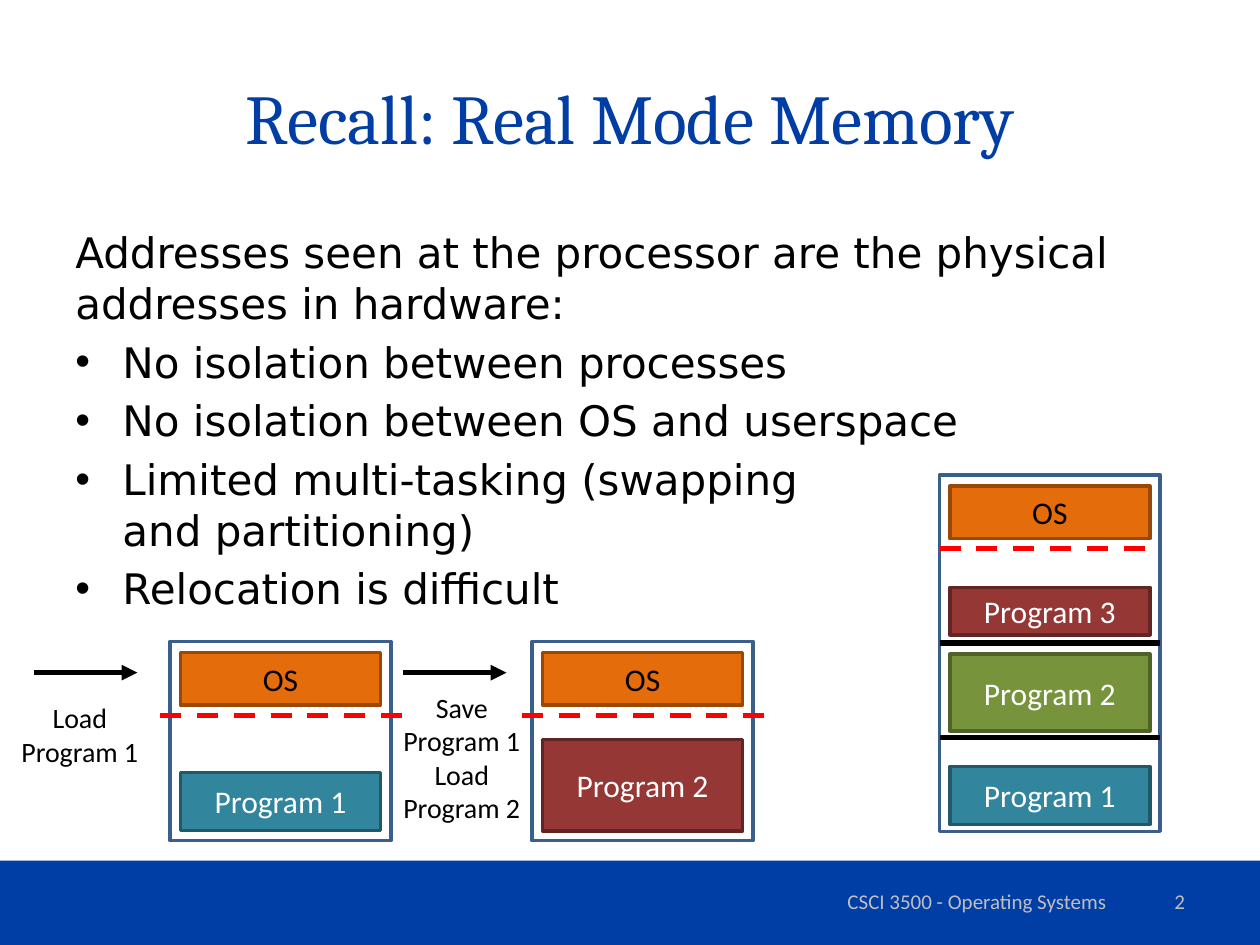
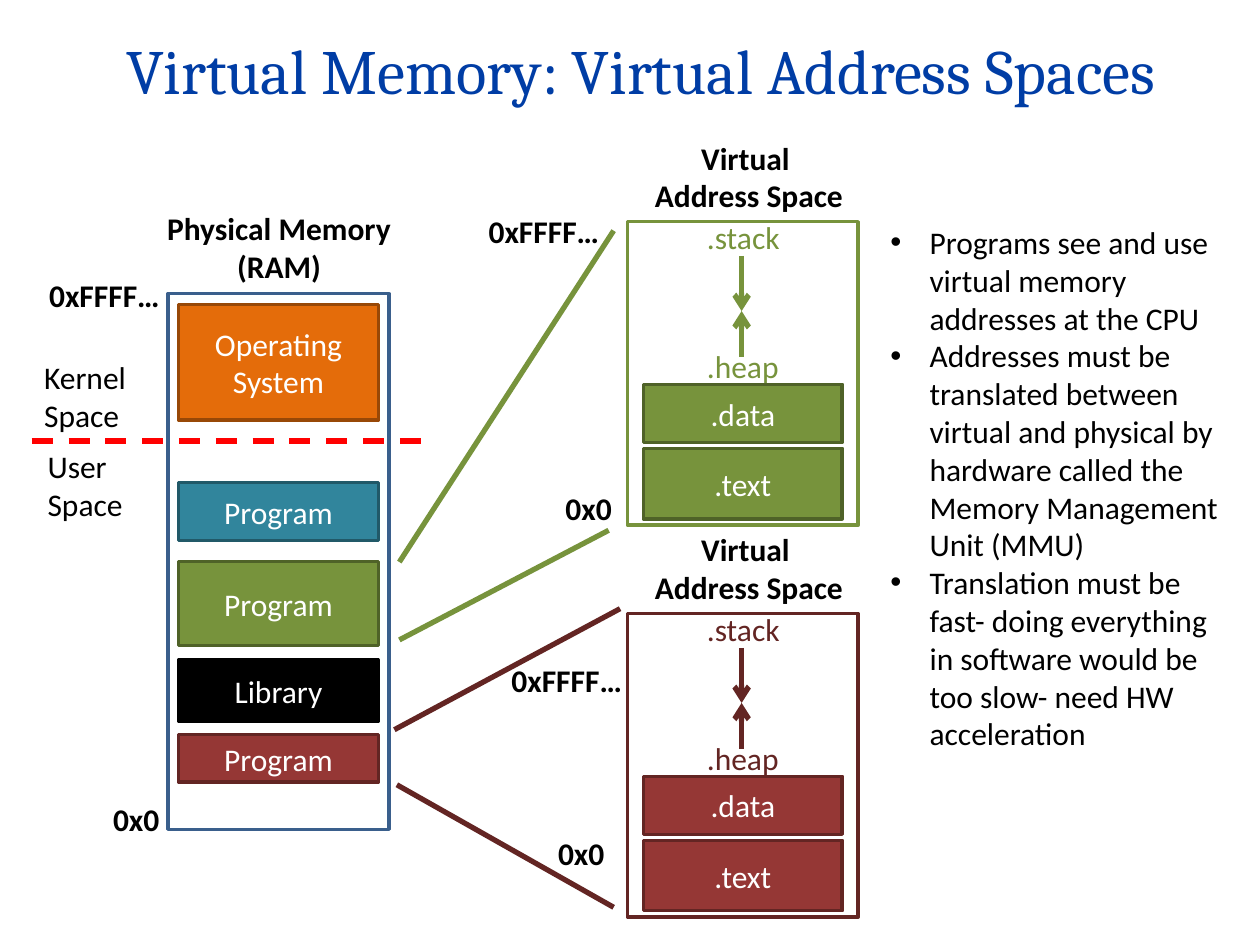
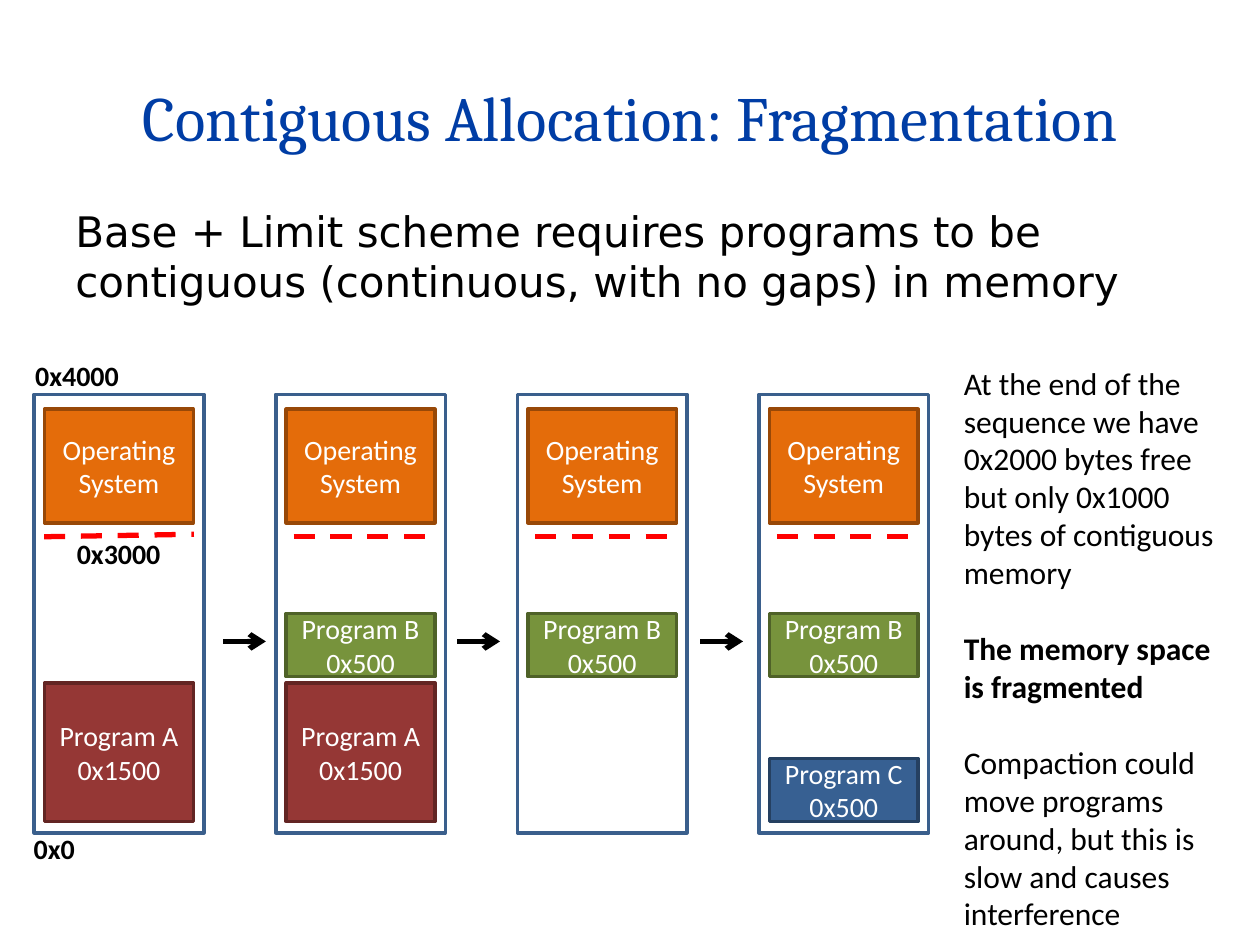
"""Build three slides on real mode memory, virtual memory and fragmentation."""
from dataclasses import dataclass

from lxml.etree import SubElement as Sub
from pptx import Presentation
from pptx.dml.color import RGBColor as Rgb
from pptx.enum.dml import MSO_LINE as Dash
from pptx.enum.shapes import MSO_CONNECTOR as Conn, MSO_SHAPE as Form
from pptx.enum.text import MSO_ANCHOR as Anchor, MSO_AUTO_SIZE as Auto, PP_ALIGN as Align
from pptx.oxml.ns import qn
from pptx.util import Cm, Pt


@dataclass(frozen=True)
class Theme:
    blue: str = "003DA5"
    black: str = "000000"
    white: str = "FFFFFF"
    grey: str = "BFBFBF"
    red: str = "FF0000"
    frame: str = "3A5F8C"
    head: str = "Cambria"
    body: str = "DejaVu Sans"
    label: str = "Calibri"
    big: int = 40
    mid: int = 36
    lead: int = 24
    text: int = 18
    small: int = 16
    foot: int = 12
    thin: int = 2
    thick: int = 3


T = Theme()
FILLS = {
    "orange": ("E46C0A", "984807"),
    "teal": ("31859C", "215968"),
    "green": ("77933C", "4F6228"),
    "wine": ("953735", "632523"),
    "navy": ("376092", "254061"),
    "black": ("000000", "000000"),
}
L, C, R = Align.LEFT, Align.CENTER, Align.RIGHT

REAL = {
    "title": "Recall: Real Mode Memory",
    "body": [
        ("Addresses seen at the processor are the physical addresses in hardware:", ""),
        ("No isolation between processes", "•"),
        ("No isolation between OS and userspace", "•"),
        ("Limited multi-tasking (swapping\nand partitioning)", "•"),
        ("Relocation is difficult", "•"),
    ],
    "foot": "CSCI 3500 - Operating Systems",
    "page": "2",
    "swap": [
        (3.43, ("Program 1", 2.64, 1.17, "teal")),
        (10.73, ("Program 2", 1.98, 1.84, "wine")),
    ],
    "steps": [
        (0.69, 0.15, 14.0, "Load\nProgram 1"),
        (8.13, 7.85, 13.79, "Save\nProgram 1\nLoad\nProgram 2"),
    ],
    "parts": [
        ("Program 1", 5.87, 1.17, "teal"),
        ("Program 2", 3.61, 1.55, "green"),
        ("Program 3", 2.26, 0.96, "wine"),
    ],
    "walls": [3.38, 5.28],
}
VIRTUAL = {
    "title": "Virtual Memory: Virtual Address Spaces",
    "ram": [
        ("Operating System", 0.22, 2.33, "orange"),
        ("Program", 3.81, 1.17, "teal"),
        ("Program", 5.4, 1.69, "green"),
        ("Library", 7.39, 1.23, "black"),
        ("Program", 8.89, 0.96, "wine"),
    ],
    "sides": [("Kernel\nSpace", 0.64, 7.09), ("User\nSpace", 0.71, 8.89)],
    "ends": [
        ("0x0", 2.03, 16.0), ("0xFFFF…", 0.74, 5.44),
        ("0x0", 11.15, 9.73), ("0xFFFF…", 9.6, 4.14),
        ("0x0", 11.0, 16.69), ("0xFFFF…", 10.06, 13.21),
    ],
    "head": "Physical Memory\n(RAM)",
    "space": "Virtual \nAddress Space",
    "spaces": [("green", 0), ("wine", 1)],
    "parts": [(".text", 4.57, 1.42), (".data", 3.28, 1.17)],
    "grow": [(".heap", 2.41, 2.72), (".stack", -0.2, 0.69)],
    "maps": [
        (8.05, 11.33, 12.37, 4.65, 0), (8.05, 12.9, 12.27, 10.69, 0),
        (7.95, 14.71, 12.5, 12.27, 1), (8.0, 15.82, 12.37, 18.29, 1),
    ],
    "notes": [
        ("Programs see and use virtual memory addresses at the CPU", "•"),
        ("Addresses must be translated between virtual and physical by hardware"
         " called the Memory Management Unit (MMU)", "•"),
        ("Translation must be fast- doing everything in software would be too slow-"
         " need HW acceleration", "•"),
    ],
}
OS = ("Operating System", 0.3, 2.29, "orange")
PROG_A = ("Program A\n0x1500", 5.82, 2.79, "wine")
PROG_B = ("Program B\n0x500", 4.42, 1.27, "green")
PROG_C = ("Program C\n0x500", 7.34, 1.27, "navy")
GAPS = {
    "title": "Contiguous Allocation: Fragmentation",
    "body": [("Base + Limit scheme requires programs to be contiguous"
              " (continuous, with no gaps) in memory", "")],
    "states": [[OS, PROG_A], [OS, PROG_B, PROG_A], [OS, PROG_B], [OS, PROG_B, PROG_C]],
    "ends": [("0x0", 0.43, 16.64), ("0x4000", 0.46, 7.11), ("0x3000", 1.3, 10.69)],
    "arrows": [4.5, 9.22, 14.12],
    "notes": [
        ("At the end of the sequence we have 0x2000 bytes free but only 0x1000"
         " bytes of contiguous memory", ""),
        ("The memory space is fragmented", "b"),
        ("Compaction could move programs around, but this is slow and causes"
         " interference", ""),
    ],
}


def write(frame, paras, size, font=T.label, tint=T.black, align=L, gap=0, hang=0):
    """Fill a text frame with (text, mark) paragraphs, run by run."""
    for i, (text, mark) in enumerate(paras):
        para = frame.paragraphs[0] if i == 0 else frame.add_paragraph()
        para.alignment = align
        if mark == "•":
            props = para._p.get_or_add_pPr()
            props.set("marL", str(Cm(hang)))
            props.set("indent", str(-Cm(hang)))
            Sub(props, qn("a:buFont")).set("typeface", "Arial")
            Sub(props, qn("a:buChar")).set("char", mark)
        if i and gap:
            para.space_before = Pt(gap)
        for j, line in enumerate(text.split("\n")):
            if j:
                para.add_line_break()
            run = para.add_run()
            run.text = line
            run.font.size, run.font.name = Pt(size), font
            run.font.bold = mark == "b"
            run.font.color.rgb = Rgb.from_string(tint)


def area(box, x, y, w, h, paras, size, mid=False, **style):
    """Add a wrapped text box."""
    frame = box.add_textbox(Cm(x), Cm(y), Cm(w), Cm(h)).text_frame
    frame.word_wrap = True
    frame.vertical_anchor = Anchor.MIDDLE if mid else Anchor.TOP
    write(frame, paras, size, **style)


def tag(box, text, x, y, w, size=T.text, bold=False, **style):
    """Add a label that grows with its text."""
    tall = 0.25 + 0.043 * size * (text.count("\n") + 1)
    frame = box.add_textbox(Cm(x), Cm(y), Cm(w), Cm(tall)).text_frame
    frame.word_wrap = False
    frame.auto_size = Auto.SHAPE_TO_FIT_TEXT
    write(frame, [(text, "b" if bold else "")], size, **style)


def rect(box, x, y, w, h, fill=None, edge=None):
    """Add a plain rectangle."""
    shape = box.add_shape(Form.RECTANGLE, Cm(x), Cm(y), Cm(w), Cm(h))
    shape.shadow.inherit = False
    if fill:
        shape.fill.solid()
        shape.fill.fore_color.rgb = Rgb.from_string(fill)
    else:
        shape.fill.background()
    if edge:
        shape.line.color.rgb = Rgb.from_string(edge)
        shape.line.width = Pt(T.thin)
    else:
        shape.line.fill.background()
    return shape


def line(box, x1, y1, x2, y2, tint=T.black, dash=False, tip=None):
    """Add a straight line, dashed or with an arrow tip if asked."""
    link = box.add_connector(Conn.STRAIGHT, Cm(x1), Cm(y1), Cm(x2), Cm(y2))
    link.line.color.rgb = Rgb.from_string(tint)
    link.line.width = Pt(T.thick)
    if dash:
        link.line.dash_style = Dash.DASH
    if tip:
        Sub(link.line._get_or_add_ln(), qn("a:tailEnd")).set("type", tip)
    Sub(link._element.spPr, qn("a:effectLst"))


def stack(box, x, y, w, h, blocks, edge=T.frame, inset=0.21, size=T.text):
    """Add a memory frame with its blocks."""
    rect(box, x, y, w, h, edge=edge)
    for name, down, tall, kind in blocks:
        shape = rect(box, x + inset, y + down, w - 2 * inset, tall, *FILLS[kind])
        frame = shape.text_frame
        frame.word_wrap = True
        frame.vertical_anchor = Anchor.MIDDLE
        tint = T.black if name == "OS" else T.white
        write(frame, [(name, "")], size, tint=tint, align=C)


def start(deck, title, y=0.76, w=22.86, size=T.mid):
    """Add a blank slide with its title."""
    box = deck.slides.add_slide(deck.slide_layouts[6]).shapes
    area(box, 1.27, y, w, 3.18, [(title, "")], size, mid=True,
         font=T.head, tint=T.blue, align=C)
    return box


def group(box):
    """Open a group."""
    return box.add_group_shape().shapes


def real(deck):
    """Draw the real mode slide."""
    box = start(deck, REAL["title"], size=T.big)
    rect(box, 0, 17.35, 25.4, 1.7, T.blue)
    area(box, 1.27, 4.45, 22.86, 12.57, REAL["body"], T.lead,
         font=T.body, gap=4.8, hang=0.95)
    for text, x, w, align in ((REAL["foot"], 15.67, 8.05, C), (REAL["page"], 18.21, 5.93, R)):
        area(box, x, 17.65, w, 1.02, [(text, "")], T.foot, mid=True, tint=T.grey, align=align)

    swap, top = group(box), 12.93
    for x, prog in REAL["swap"]:
        stack(swap, x, top, 4.45, 4.02, [("OS", 0.22, 1.06, "orange"), prog])
        line(swap, x - 0.2, top + 1.5, x + 4.88, top + 1.5, T.red, dash=True)
    for x, left, y, text in REAL["steps"]:
        line(swap, x, 13.56, x + 2.08, 13.56, tip="triangle")
        tag(swap, text, left, y, 2.92, T.small, align=C)

    split, x, top, w = group(box), 18.94, 9.58, 4.45
    stack(split, x, top, w, 7.18, [("OS", 0.22, 1.06, "orange")] + REAL["parts"])
    line(split, x, top + 1.48, x + w, top + 1.48, T.red, dash=True)
    for down in REAL["walls"]:
        line(split, x, top + down, x + w, top + down)


def virtual(deck):
    """Draw the virtual memory slide."""
    box = start(deck, VIRTUAL["title"], -0.2, 23.29)
    for text, x, y in VIRTUAL["ends"]:
        tag(box, text, x, y, 1.45 if text == "0x0" else 2.77, bold=True)
    for text, x, y in VIRTUAL["sides"]:
        tag(box, text, x, y, 2.4)
    ram, x, y = group(box), 3.39, 5.92
    stack(ram, x, y, 4.45, 10.8, VIRTUAL["ram"])
    line(ram, x - 2.75, y + 2.97, x + 5.3, y + 2.97, T.red, dash=True)
    tag(box, VIRTUAL["head"], 3.1, 4.09, 5.05, bold=True, align=C)

    tints = [FILLS["green"][0], FILLS["wine"][1]]
    for kind, i in VIRTUAL["spaces"]:
        space, x, y, tint = group(box), 12.65, 4.47 + 7.9 * i, tints[i]
        parts = [part + (kind,) for part in VIRTUAL["parts"]]
        stack(space, x, y, 4.65, 6.12, parts, tint, 0.32)
        for text, down, tail in VIRTUAL["grow"]:
            tag(space, text, x + 1.35, y + down, 1.98, tint=tint)
            line(space, x + 2.3, y + tail, x + 2.3, y + 1.8, tint, tip="arrow")
        tag(space, VIRTUAL["space"], x + 0.28, y - 1.8, 4.34, bold=True, align=C)
    for *ends, i in VIRTUAL["maps"]:
        line(box, *ends, tints[i])
    area(box, 17.7, 4.37, 7.49, 11.79, VIRTUAL["notes"], T.text, hang=0.79)


def gaps(deck):
    """Draw the fragmentation slide."""
    box = start(deck, GAPS["title"])
    area(box, 1.27, 4.01, 22.86, 2.34, GAPS["body"], T.lead, font=T.body)
    flow, y = group(box), 7.95
    for i, blocks in enumerate(GAPS["states"]):
        x = 0.69 + 4.87 * i
        stack(flow, x, y, 3.42, 8.84, blocks, size=T.small)
        near, far, rise = (0.36, 3.15, 0) if i else (0.2, 3.22, 0.05)
        line(flow, x + near, y + 2.87, x + far, y + 2.87 - rise, T.red, dash=True)
    for text, x, down in GAPS["ends"]:
        tag(flow, text, x, down, 1.35 if text == "0x0" else 2.24, T.small, bold=True)
    for x in GAPS["arrows"]:
        line(flow, x, 12.93, x + 0.86, 12.93, tip="arrow")
    area(box, 19.18, 7.21, 5.92, 11.79, GAPS["notes"], T.text, gap=22)


def main():
    """Build and save the deck."""
    deck = Presentation()
    deck.slide_width, deck.slide_height = Cm(25.4), Cm(19.05)
    for draw in (real, virtual, gaps):
        draw(deck)
    deck.save("out.pptx")


if __name__ == "__main__":
    main()
